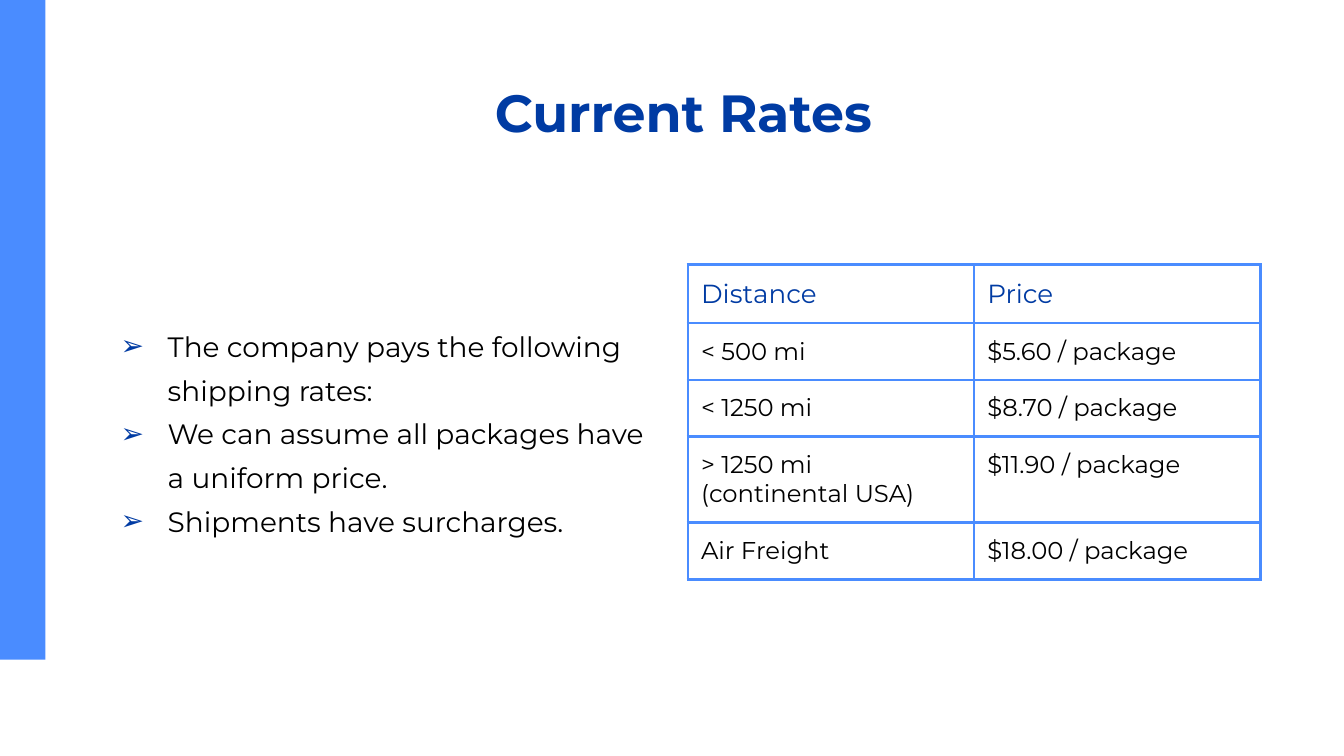
"""Build the Current Rates slide with a list and a price table."""
from lxml import etree
from pptx import Presentation
from pptx import util as u
from pptx.dml.color import RGBColor
from pptx.enum import shapes, text
from pptx.oxml.ns import qn

BLUE, NAVY, BLACK = "4A8CFF", "003BA3", "000000"
PAD = u.Cm(0.25)


def color(value):
    return RGBColor.from_string(value)


def style(p, size, value, bold=False):
    for r in p.runs:
        r.font.name, r.font.size, r.font.bold = "Montserrat", u.Pt(size), bold
        r.font.color.rgb = color(value)


prs = Presentation()
prs.slide_width, prs.slide_height = u.Cm(25.4), u.Cm(14.29)
s = prs.slides.add_slide(prs.slide_layouts[1])

bar = s.shapes.add_shape(shapes.MSO_SHAPE.RECTANGLE, 0, 0, u.Cm(0.86), u.Cm(12.47))
bar.shadow.inherit = False
bar.fill.solid()
bar.fill.fore_color.rgb = color(BLUE)
bar.line.fill.background()

title, body = s.shapes.title, s.placeholders[1]
boxes = [(title, (2.21, 1.27, 21.41, 2.03)), (body, (1.65, 5.79, 10.82, 4.75))]
for sp, box in boxes:
    sp.left, sp.top, sp.width, sp.height = [u.Cm(v) for v in box]
    tf = sp.text_frame
    tf.margin_left = tf.margin_right = tf.margin_top = tf.margin_bottom = PAD
    tf.vertical_anchor = text.MSO_ANCHOR.TOP
    tf.auto_size = text.MSO_AUTO_SIZE.NONE
    tf.word_wrap = True

title.text_frame.text = "Current Rates"
p = title.text_frame.paragraphs[0]
p.alignment = text.PP_ALIGN.CENTER
style(p, 28, NAVY, True)

body.text_frame.text = "\n".join([
    "The company pays the following shipping rates:",
    "We can assume all packages have a uniform price.",
    "Shipments have surcharges.",
])
for p in body.text_frame.paragraphs:
    pPr = p._p.get_or_add_pPr()
    pPr.set("marL", str(u.Cm(1.27)))
    pPr.set("indent", str(-u.Cm(0.89)))
    clr = etree.SubElement(pPr, qn("a:buClr"))
    etree.SubElement(clr, qn("a:srgbClr"), val=NAVY)
    etree.SubElement(pPr, qn("a:buChar"), char="➢")
    p.line_spacing, p.space_before = 1.3, u.Pt(0)
    style(p, 15, BLACK)

rates = [
    ("Distance", "Price"),
    ("< 500 mi", "$5.60 / package"),
    ("< 1250 mi", "$8.70 / package"),
    ("> 1250 mi (continental USA)", "$11.90 / package"),
    ("Air Freight", "$18.00 / package"),
]
heights = [1.11, 1.07, 1.07, 1.63, 1.07]
frame = s.shapes.add_table(len(rates), 2, u.Cm(13), u.Cm(5), u.Cm(10.82), u.Cm(sum(heights)))
table = frame.table
table.first_row = table.horz_banding = False
for col in table.columns:
    col.width = u.Cm(5.41)
for i, (row, height) in enumerate(zip(rates, heights)):
    table.rows[i].height = u.Cm(height)
    for j, value in enumerate(row):
        cell = table.cell(i, j)
        cell.text_frame.text = value
        cell.margin_left = cell.margin_right = cell.margin_top = cell.margin_bottom = PAD
        style(cell.text_frame.paragraphs[0], 13 if i else 14, BLACK if i else NAVY)
        tcPr = cell._tc.get_or_add_tcPr()
        for side in ("lnL", "lnR", "lnT", "lnB"):
            ln = etree.SubElement(tcPr, qn("a:" + side), w=str(u.Pt(1.5)))
            fill = etree.SubElement(ln, qn("a:solidFill"))
            etree.SubElement(fill, qn("a:srgbClr"), val=BLUE)
        cell.fill.background()

prs.save("out.pptx")
